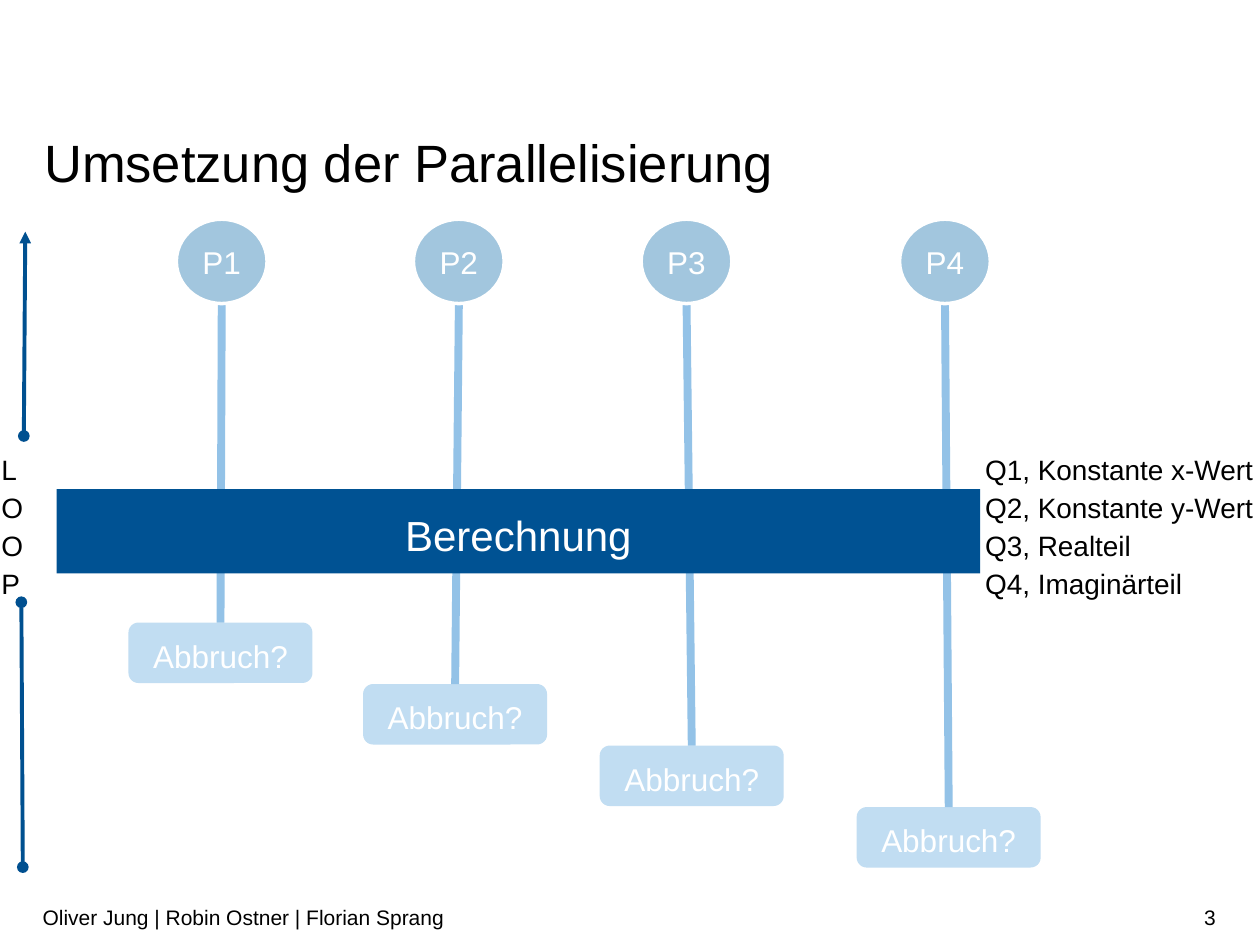
from dataclasses import dataclass

from lxml.etree import SubElement
from pptx import Presentation
from pptx.dml.color import RGBColor as RGB
from pptx.enum.shapes import MSO_CONNECTOR as LINK, MSO_SHAPE as FORM
from pptx.enum.text import MSO_ANCHOR as ANCHOR, PP_ALIGN as ALIGN
from pptx.oxml.ns import qn
from pptx.util import Cm, Pt


@dataclass(frozen=True)
class Theme:
    font: str = "Arial"
    ink: RGB = RGB(0x00, 0x00, 0x00)
    white: RGB = RGB(0xFF, 0xFF, 0xFF)
    bar: RGB = RGB(0x00, 0x52, 0x93)
    loop: RGB = RGB(0x00, 0x50, 0x90)
    lane: RGB = RGB(0x93, 0xC2, 0xE7)
    node: RGB = RGB(0xA2, 0xC6, 0xDE)
    check: RGB = RGB(0xC1, 0xDD, 0xF2)
    title: Pt = Pt(30)
    head: Pt = Pt(24)
    label: Pt = Pt(18)
    note: Pt = Pt(16)
    foot: Pt = Pt(12)


theme = Theme()


def write(shape, lines, size, color, align=ALIGN.LEFT, gap=1.14,
          anchor=ANCHOR.TOP, pad=None):
    """Fill a shape with one paragraph per line."""
    frame = shape.text_frame
    frame.word_wrap = True
    frame.vertical_anchor = anchor
    if pad is not None:
        frame.margin_left = frame.margin_right = 0
        frame.margin_top = frame.margin_bottom = pad
    for i, line in enumerate(lines):
        para = frame.paragraphs[0] if i == 0 else frame.add_paragraph()
        para.alignment = align
        para.line_spacing = gap
        run = para.add_run()
        run.text = line
        run.font.name = theme.font
        run.font.size = size
        run.font.color.rgb = color


def style(shape, color, width=None):
    """Colour a connector if a width is given, else fill a shape."""
    if width is None:
        shape.shadow.inherit = False
        shape.fill.solid()
        shape.fill.fore_color.rgb = color
        shape.line.fill.background()
    else:
        shape.line.color.rgb = color
        shape.line.width = width
        SubElement(shape._element.spPr, qn("a:effectLst"))


deck = Presentation()
deck.slide_width, deck.slide_height = Cm(25.4), Cm(19.05)
slide = deck.slides.add_slide(deck.slide_layouts[5])
shapes = slide.shapes

# Title
title = shapes.title
title.left, title.top = Cm(0.89), Cm(2.77)
title.width, title.height = Cm(23.65), Cm(1.14)
write(title, ["Umsetzung der Parallelisierung"], theme.title, theme.ink,
      gap=Pt(32), pad=0)

# Checks, stepping down, each at the end of its lane
lanes = [(4.47, 2.59), (9.25, 7.32), (13.84, 12.09), (19.05, 17.27)]
for i, (mid, left) in enumerate(lanes):
    check = shapes.add_shape(FORM.ROUNDED_RECTANGLE, Cm(left),
                             Cm(12.55 + 1.24 * i), Cm(3.71), Cm(1.22))
    style(check, theme.check)
    write(check, ["Abbruch?"], theme.label, theme.white, ALIGN.CENTER)
    lane = shapes.add_connector(LINK.STRAIGHT, Cm(mid), Cm(6.12),
                                Cm(mid), check.top)
    lane.end_connect(check, 0)
    style(lane, theme.lane, Pt(4.5))

# Shared calculation bar across the lanes
bar = shapes.add_shape(FORM.RECTANGLE, Cm(1.14), Cm(9.86), Cm(18.62), Cm(1.7))
style(bar, theme.bar)
write(bar, ["Berechnung"], theme.head, theme.white, ALIGN.CENTER,
      anchor=ANCHOR.MIDDLE)

# Process nodes
for i, (mid, left) in enumerate(lanes, 1):
    node = shapes.add_shape(FORM.FLOWCHART_CONNECTOR, Cm(mid - 0.915),
                            Cm(4.42), Cm(1.83), Cm(1.7))
    style(node, theme.node)
    node.line.color.rgb = theme.white
    node.line.width = Pt(2)
    write(node, [f"P{i}"], theme.label, theme.white, ALIGN.CENTER)

# Loop marker on the left
loop = shapes.add_textbox(Cm(0.03), Cm(9.02), Cm(0.84), Cm(3.05))
write(loop, ["LOOP"], theme.note, theme.ink, pad=0)
loop.text_frame._txBody.bodyPr.set("vert", "wordArtVert")
for x1, y1, x2, y2, tip in [(0.46, 17.48, 0.43, 12.14, "oval"),
                            (0.48, 8.79, 0.51, 4.67, "triangle")]:
    arm = shapes.add_connector(LINK.STRAIGHT, Cm(x1), Cm(y1), Cm(x2), Cm(y2))
    style(arm, theme.loop, Pt(2.25))
    edge = arm.line._get_or_add_ln()
    SubElement(edge, qn("a:headEnd"), type="oval")
    SubElement(edge, qn("a:tailEnd"), type=tip)

# Queue list on the right
queue = shapes.add_textbox(Cm(19.86), Cm(9.02), Cm(5.54), Cm(3.12))
write(queue, ["Q1, Konstante x-Wert", "Q2, Konstante y-Wert",
              "Q3, Realteil", "Q4, Imaginärteil"],
      theme.note, theme.ink, pad=0)
queue.text_frame.word_wrap = False

# Footer
for left, width, text, align in [
        (0.86, 17.96, "Oliver Jung | Robin Ostner | Florian Sprang", ALIGN.LEFT),
        (18.82, 5.69, "3", ALIGN.RIGHT)]:
    foot = shapes.add_textbox(Cm(left), Cm(17.98), Cm(width), Cm(1.02))
    write(foot, [text], theme.foot, theme.ink, align, 1.0,
          ANCHOR.MIDDLE, Cm(0.13))

deck.save("out.pptx")
